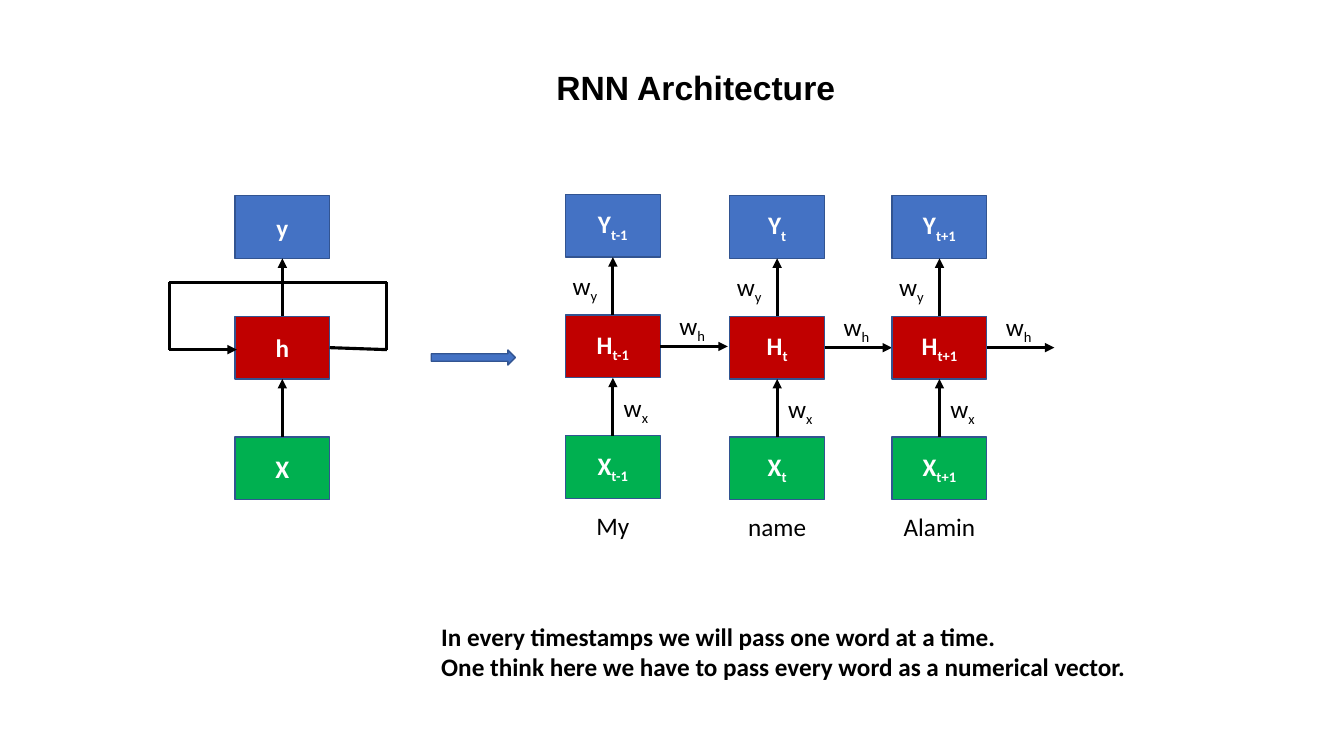
from lxml import etree
from pptx import Presentation
from pptx import util as u
from pptx.dml import color
from pptx.enum import shapes, text
from pptx.oxml import ns

COLORS = {"output": "4472C4", "hidden": "C00000", "input": "00B050",
          "outline": "325491", "ink": "000000", "label": "FFFFFF"}
LAYERS = ("output", "hidden", "input")
BOX_W, BOX_H, PITCH = 2.39, 1.58, 3.04  # cm
MID_X, MID_Y = BOX_W / 2, BOX_H / 2

BODY = {"name": "Calibri", "size": u.Pt(18), "bold": False}
STRONG = {**BODY, "bold": True}
TITLE = {"name": "Arial", "size": u.Pt(24), "bold": True}
BOX_FRAME = {"vertical_anchor": text.MSO_ANCHOR.MIDDLE, "word_wrap": True}
LABEL_FRAME = {"word_wrap": False,
               "auto_size": text.MSO_AUTO_SIZE.SHAPE_TO_FIT_TEXT}
CENTER = text.PP_ALIGN.CENTER
LEFT = text.PP_ALIGN.LEFT


def rgb(key):
    return color.RGBColor.from_string(COLORS[key])


def apply(target, values):
    for attribute, value in values.items():
        setattr(target, attribute, value)


def write(paragraph, words, font, ink, align, subscript=""):
    paragraph.alignment = align
    for part, baseline in ((words, None), (subscript, "-25000")):
        if part:
            run = paragraph.add_run()
            run.text = part
            apply(run.font, font)
            run.font.color.rgb = rgb(ink)
            if baseline:
                run._r.get_or_add_rPr().set("baseline", baseline)


def add_solid(slide, kind, box, fill):
    solid = slide.shapes.add_shape(kind, *map(u.Cm, box))
    solid.shadow.inherit = False
    solid.fill.solid()
    solid.fill.fore_color.rgb = rgb(fill)
    solid.line.color.rgb = rgb("outline")
    solid.line.width = u.Pt(1)
    return solid


def add_label(slide, box, lines, font=BODY, align=LEFT, subscript=""):
    frame = slide.shapes.add_textbox(*map(u.Cm, box)).text_frame
    apply(frame, LABEL_FRAME)
    for index, line in enumerate(lines):
        paragraph = frame.add_paragraph() if index else frame.paragraphs[0]
        write(paragraph, line, font, "ink", align, subscript)


def add_line(slide, start, end, arrow=True):
    line = slide.shapes.add_connector(
        shapes.MSO_CONNECTOR.STRAIGHT, *map(u.Cm, (*start, *end)))
    line.line.color.rgb = rgb("ink")
    line.line.width = u.Pt(2.25)
    if arrow:
        tip = etree.SubElement(line.line._get_or_add_ln(), ns.qn("a:tailEnd"))
        tip.set("type", "triangle")
    etree.SubElement(line._element.spPr, ns.qn("a:effectLst"))


def add_stack(slide, left, top, letters, subscript=""):
    """Output, hidden and input boxes, joined by upward arrows."""
    for row, (layer, letter) in enumerate(zip(LAYERS, letters)):
        y = top + row * PITCH
        cell = add_solid(slide, shapes.MSO_SHAPE.RECTANGLE,
                         (left, y, BOX_W, BOX_H), layer)
        apply(cell.text_frame, BOX_FRAME)
        write(cell.text_frame.paragraphs[0], letter, STRONG, "label",
              CENTER, subscript)
        if row:
            add_line(slide, (left + MID_X, y),
                     (left + MID_X, y - PITCH + BOX_H))


def add_folded_network(slide, left, top):
    add_stack(slide, left, top, "yhX")
    # Feedback loop around the hidden box
    loop_left, loop_right, loop_top = left - 1.65, left + 3.83, top + 2.18
    hidden_y = top + PITCH + MID_Y
    entry_y = hidden_y + 0.05
    route = [(left + BOX_W, hidden_y), (loop_right, entry_y),
             (loop_right, loop_top), (loop_left, loop_top),
             (loop_left, entry_y), (left + 0.05, entry_y)]
    for start, end in zip(route, route[1:]):
        add_line(slide, start, end, arrow=end == route[-1])


def add_time_step(slide, left, top, step, word):
    add_stack(slide, left, top, "YHX", step)
    hidden_y = top + PITCH + MID_Y
    add_line(slide, (left + BOX_W, hidden_y), (left + BOX_W + 1.7, hidden_y))
    # Weights beside the arrows
    for weight, dx, dy in (("x", 1.22, 4.86), ("h", 2.62, 2.79),
                           ("y", -0.07, 1.78)):
        add_label(slide, (left + dx, top + dy, 1.18, 1.02), ["w"],
                  subscript=weight)
    # Word fed in at this step
    add_label(slide, (left, top + 7.83, BOX_W, 1.02), [word], align=CENTER)


def main():
    deck = Presentation()
    apply(deck, {"slide_width": u.Cm(33.87), "slide_height": u.Cm(19.05)})
    slide = deck.slides.add_slide(deck.slide_layouts[6])

    # Folded network, and the arrow to its unfolded form
    add_folded_network(slide, 5.92, 4.93)
    add_solid(slide, shapes.MSO_SHAPE.RIGHT_ARROW,
              (10.87, 8.82, 2.12, 0.38), "output")

    # Unfolded network
    for left, top, step, word in ((14.25, 4.9, "t-1", "My"),
                                  (18.39, 4.93, "t", "name"),
                                  (22.48, 4.93, "t+1", "Alamin")):
        add_time_step(slide, left, top, step, word)

    # Title and explanation
    add_label(slide, (13.77, 1.55, 8.74, 1.27), ["RNN Architecture"], TITLE)
    add_label(slide, (10.87, 15.52, 17.88, 1.8), [
        "In every timestamps we will pass one word at a time.",
        "One think here we have to pass every word as a numerical vector.",
    ], STRONG)
    deck.save("out.pptx")


if __name__ == "__main__":
    main()
